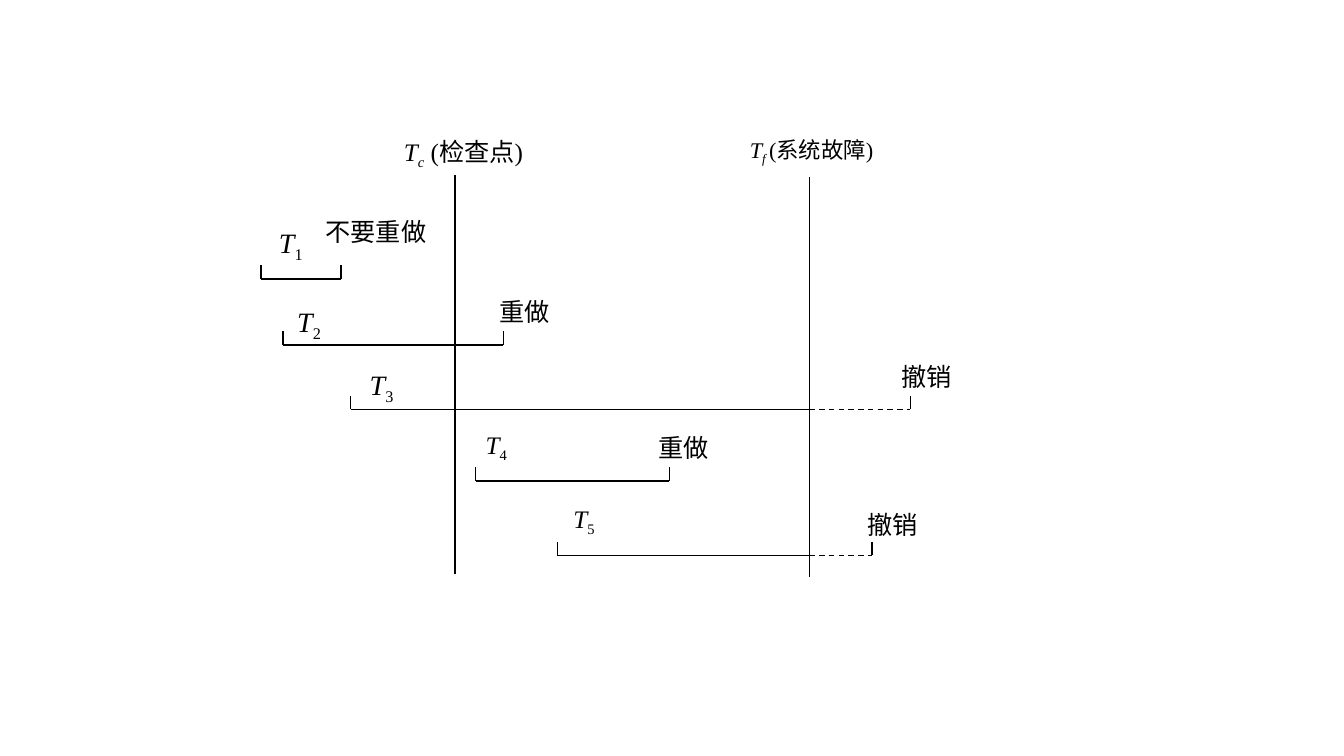
from pptx import Presentation
from pptx.dml.color import RGBColor
from pptx.enum.dml import MSO_LINE
from pptx.enum.shapes import MSO_CONNECTOR
from pptx.oxml.ns import qn
from pptx.util import Pt
from lxml import etree

STRAIGHT = MSO_CONNECTOR.STRAIGHT
DASH = MSO_LINE.DASH
COLORS = {"ink": "000000"}
FONT = "Times New Roman"
INK = RGBColor.from_string(COLORS["ink"])

deck = Presentation()
deck.slide_width, deck.slide_height = Pt(960), Pt(540)
page = deck.slides.add_slide(deck.slide_layouts[6])


def add_line(x1, y1, x2, y2, dashed=False):
    line = page.shapes.add_connector(STRAIGHT, Pt(x1), Pt(y1), Pt(x2), Pt(y2))
    line.line.color.rgb = INK
    line.line.width = Pt(1)
    if dashed:
        line.line.dash_style = DASH
    etree.SubElement(line._element.spPr, qn("a:effectLst"))


def add_label(left, top, width, size, spans):
    """Each span is (text, italic, subscript)."""
    box = page.shapes.add_textbox(Pt(left), Pt(top), Pt(width), Pt(32))
    box.text_frame.word_wrap = True
    para = box.text_frame.paragraphs[0]
    for text, italic, subscript in spans:
        span = para.add_run()
        span.text = text
        span.font.name = FONT
        span.font.size = Pt(size)
        span.font.italic = italic
        span.font.color.rgb = INK
        if subscript:
            span.font._element.set("baseline", "-25000")


# Checkpoint and system failure: x, top, bottom, label left, size, subscript, meaning
failure_x = 578.2
events = [
    (325, 125.3, 409.7, 281.5, 18, "c", " (检查点)"),
    (failure_x, 126.7, 411.8, 528.5, 16, "f ", "(系统故障)"),
]
for x, top, bottom, left, size, subscript, meaning in events:
    add_line(x, top, x, bottom)
    add_label(left, 93.6, 113, size,
              [("T", True, False), (subscript, True, True), (meaning, False, False)])

# Transactions: start, end, y, name (left, top, size), outcome (left, top, text)
transactions = [
    (186.3, 243.5, 199.3, (192.2, 157.7, 20), (225.4, 151.2, "不要重做")),
    (202.3, 359.5, 246.4, (205.2, 213.8, 20), (345.6, 208.1, " 重做")),
    (250.4, 650.2, 292.4, (257, 259.2, 20), (636.5, 254.2, "撤销")),
    (339.8, 478.2, 343.5, (339.8, 303.1, 18), (459.4, 305.3, " 重做")),
    (398.2, 622.8, 396.7, (402.5, 355.7, 18), (612.7, 360, "撤销")),
]
tick = 9.7
for number, (start, end, y, name, outcome) in enumerate(transactions, 1):
    # The part after the failure is dashed
    add_line(start, y, min(end, failure_x), y)
    if end > failure_x:
        add_line(failure_x, y, end, y, dashed=True)
    for x in (start, end):
        add_line(x, y - tick, x, y)

    left, top, size = name
    add_label(left, top, 36, size, [("T", True, False), (str(number), False, True)])
    left, top, text = outcome
    add_label(left, top, 112, 18, [(text, False, False)])

deck.save("out.pptx")
